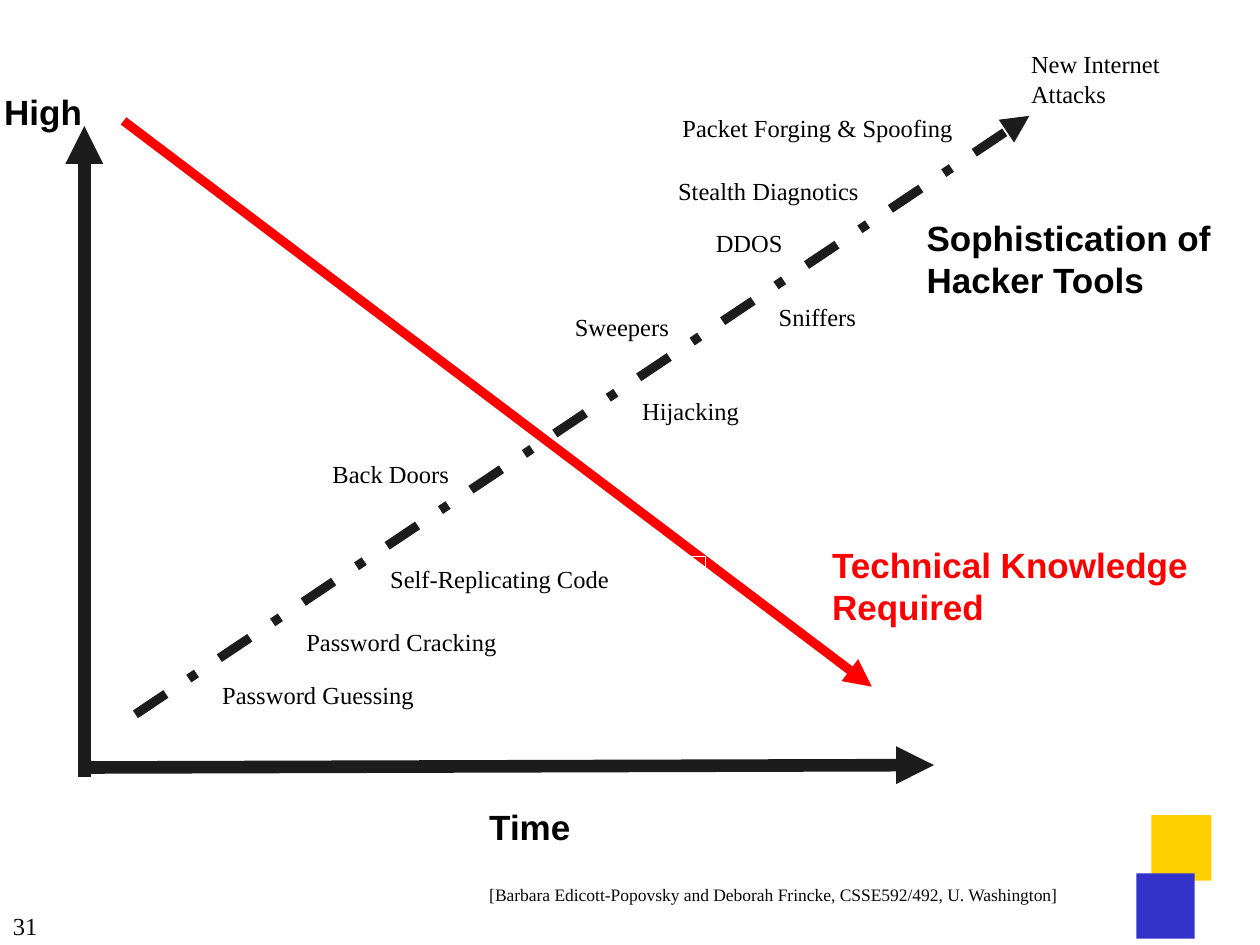
from pptx import Presentation
from pptx.dml.color import RGBColor
from pptx.enum.dml import MSO_LINE_DASH_STYLE
from pptx.enum.shapes import MSO_CONNECTOR, MSO_SHAPE
from pptx.oxml.ns import qn
from pptx.util import Pt
from lxml import etree

RECT = MSO_SHAPE.RECTANGLE
STRAIGHT = MSO_CONNECTOR.STRAIGHT
DASH_DOT = MSO_LINE_DASH_STYLE.DASH_DOT

BLACK = RGBColor(0x00, 0x00, 0x00)
COAL = RGBColor(0x1C, 0x1C, 0x1C)
INK = RGBColor(0x08, 0x08, 0x08)
RED = RGBColor(0xFF, 0x00, 0x00)
WHITE = RGBColor(0xFF, 0xFF, 0xFF)
GOLD = RGBColor(0xFF, 0xCF, 0x00)
BLUE = RGBColor(0x33, 0x33, 0xCC)

HEAD = {"name": "Arial", "size": Pt(20), "bold": True}
BODY = {"name": "Times New Roman", "size": Pt(14), "bold": False}
NOTE = {**BODY, "size": Pt(10)}

BLOCKS = [
    (658, 465.8, 34.3, 37.4, GOLD),
    (649.4, 499, 33.3, 37.4, BLUE),
]
ARROWS = [
    (48.2, 444.2, 48.2, 72, COAL, 7.2, None),
    (48.2, 438.6, 533.7, 437.2, COAL, 7.2, None),
    (77.4, 408.2, 588.2, 66.2, COAL, 5.25, DASH_DOT),
    (70.6, 69.1, 498.2, 392.4, RED, 5.25, None),
]
TEXTS = [
    ("High", 1.4, 49.7, 52, 26, 2.2, 1, HEAD, BLACK),
    ("Technical Knowledge Required", 474.5, 308.2, 208, 50, 2.2, 1, HEAD, RED),
    ("Sophistication of\nHacker Tools", 528.5, 121.7, 175, 50, 2.2, 1, HEAD, BLACK),
    ("Time", 278.6, 457.9, 56, 26, 2.2, 1, HEAD, BLACK),
    ("New Internet Attacks", 588.2, 25.9, 78, 36, 2.2, 1, BODY, BLACK),
    ("[Barbara Edicott-Popovsky and Deborah Frincke, CSSE592/492, U. Washington]",
     278.6, 504.7, 340, 13, 0.6, 1, NOTE, INK),
    ("31", 4.3, 519.8, 21, 17, 0.9, 3, BODY, INK),
]
LABELS = [
    ("Password Guessing", 120, 384, 191, 7),
    ("Password Cracking", 168, 354, 162, 7),
    ("Self-Replicating Code", 216, 318, 187.2, 7),
    ("Back Doors", 174, 258, 90, 16),
    ("Hijacking", 360, 222, 192.2, 7),
    ("Sweepers", 312, 174, 78, 16.5),
    ("Sniffers", 438, 168, 66, 7),
    ("Stealth Diagnotics", 378, 96, 120, 9.5),
    ("DDOS", 402, 126, 54, 7),
    ("Packet Forging & Spoofing", 378, 60, 174.2, 12),
]


def assign(item, style):
    for key, val in style.items():
        setattr(item, key, val)


def add_block(slide, left, top, width, height, tint):
    block = slide.shapes.add_shape(RECT, Pt(left), Pt(top), Pt(width), Pt(height))
    block.shadow.inherit = False
    block.fill.solid()
    block.fill.fore_color.rgb = tint
    block.line.fill.background()


def add_arrow(slide, x1, y1, x2, y2, tint, width, dash):
    arrow = slide.shapes.add_connector(STRAIGHT, Pt(x1), Pt(y1), Pt(x2), Pt(y2))
    arrow.line.color.rgb = tint
    assign(arrow.line, {"width": Pt(width), "dash_style": dash})
    tip = {"type": "triangle", "w": "med", "len": "med"}
    etree.SubElement(arrow.get_or_add_ln(), qn("a:tailEnd"), tip)
    etree.SubElement(arrow.element.spPr, qn("a:effectLst"))


def add_text(slide, text, left, top, width, height, drop, inset, style, tint):
    box = slide.shapes.add_textbox(Pt(left), Pt(top), Pt(width), Pt(height))
    frame = box.text_frame
    assign(frame, {
        "word_wrap": True,
        "margin_left": Pt(inset),
        "margin_top": Pt(drop),
        "margin_right": 0,
        "margin_bottom": 0,
        "text": text,
    })
    for para in frame.paragraphs:
        assign(para.font, style)
        para.font.color.rgb = tint
    return box


def add_label(slide, text, left, top, width, inset):
    box = add_text(slide, text, left, top, width, 24.5, 4.5, inset, BODY, BLACK)
    box.line.color.rgb = WHITE
    box.line.width = Pt(0.75)


def main():
    deck = Presentation()
    assign(deck, {"slide_width": Pt(720), "slide_height": Pt(540)})
    slide = deck.slides.add_slide(deck.slide_layouts[6])
    for block in BLOCKS:
        add_block(slide, *block)
    for arrow in ARROWS:
        add_arrow(slide, *arrow)
    for label in LABELS:
        add_label(slide, *label)
    for text in TEXTS:
        add_text(slide, *text)
    deck.save("out.pptx")


if __name__ == "__main__":
    main()
